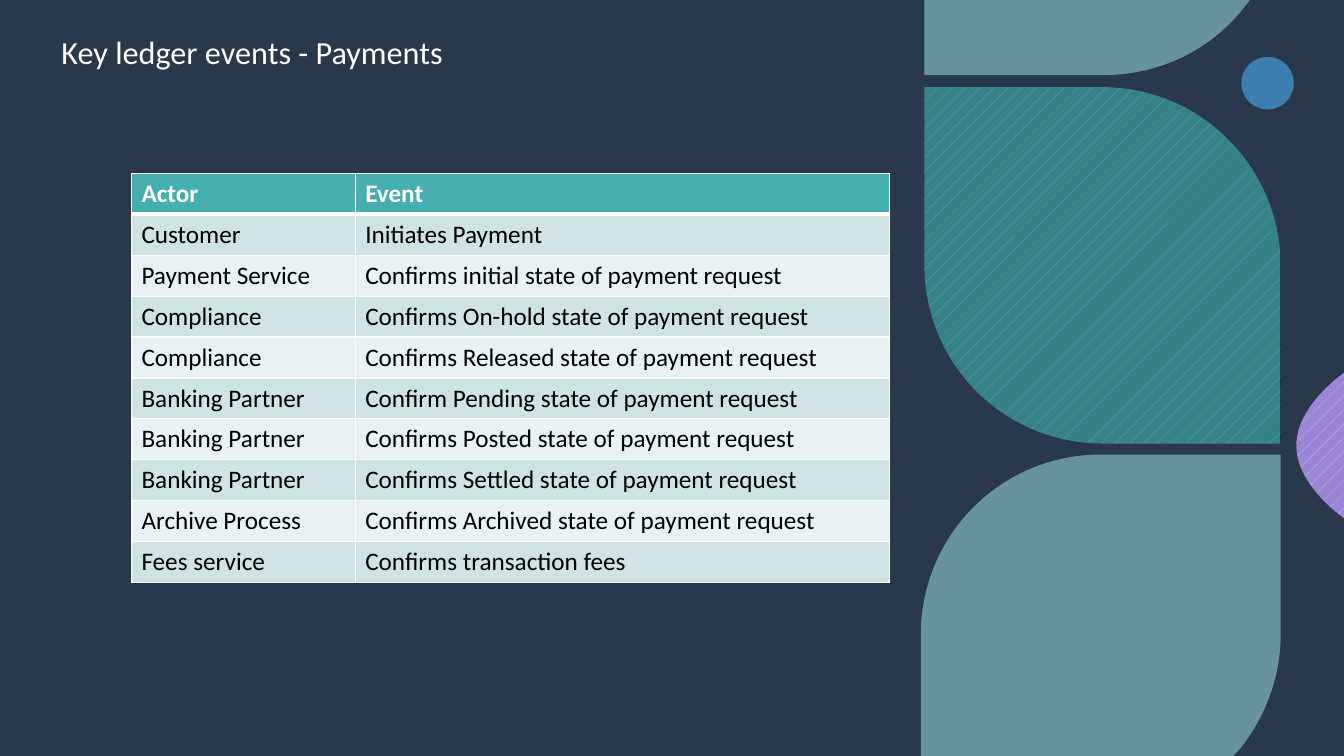
from lxml.etree import SubElement
from pptx import Presentation
from pptx.dml.color import RGBColor
from pptx.enum.dml import MSO_PATTERN_TYPE as Pattern
from pptx.enum.shapes import MSO_SHAPE as Shape
from pptx.enum.text import MSO_ANCHOR as Anchor, MSO_AUTO_SIZE as AutoSize, PP_ALIGN as Align
from pptx.oxml import parse_xml
from pptx.oxml.ns import nsdecls, qn
from pptx.util import Inches, Pt

COLORS = {name: RGBColor.from_string(value) for name, value in {
    "night": "1B2430", "veil": "425876", "dot": "3B7EB1", "mist": "8DD2D2",
    "lilac": "9B86D5", "pale lilac": "DED7F1", "teal": "348384",
    "header": "45AFB0", "odd row": "CFE3E4", "even row": "E9F2F2",
    "white": "FFFFFF", "black": "000000"}.items()}

# Grid of square cells, a tenth of an inch each
CELL = Inches(0.1)
COLUMNS, ROWS = 133.33, 75


def write(frame, text, size=18, color="black", bold=False, spacing=None):
    paragraph = frame.paragraphs[0]
    paragraph.alignment = Align.LEFT
    paragraph.line_spacing = spacing
    run = paragraph.add_run()
    run.text = text
    run.font.name, run.font.size, run.font.bold = "Calibri", Pt(size), bold
    run.font.color.rgb = COLORS[color]


def paint(shape, color, opacity=None, stipple=None):
    shape.shadow.inherit = False
    shape.line.fill.background()
    if stipple:
        shape.fill.patterned()
        shape.fill.pattern = Pattern.PERCENT_5
        shape.fill.fore_color.rgb = COLORS[stipple]
        shape.fill.back_color.rgb = COLORS[color]
    else:
        shape.fill.solid()
        shape.fill.fore_color.rgb = COLORS[color]
    if opacity:
        tint = shape._element.spPr.find(".//" + qn("a:srgbClr"))
        SubElement(tint, qn("a:alpha"), val=str(opacity * 1000))


deck = Presentation()
deck.slide_width, deck.slide_height = int(COLUMNS * CELL), ROWS * CELL
slide = deck.slides.add_slide(deck.slide_layouts[5])
shapes = slide.shapes

# Background with a translucent veil
slide.background.fill.solid()
slide.background.fill.fore_color.rgb = COLORS["night"]
veil = shapes.add_shape(Shape.RECTANGLE, 0, 0, deck.slide_width, deck.slide_height)
paint(veil, "veil", opacity=40)

# Dot and leaves: a pair is a corner, six numbers are a Bezier curve
dot = shapes.add_shape(Shape.OVAL, *(int(n * CELL) for n in (123.15, 5.65, 5.2, 5.2)))
paint(dot, "dot")

leaves = [
    ([(91.7, 0), (124, 0), (123.3, 0.9), (120.1, 4.9, 115.1, 7.45, 109.5, 7.45),
      (91.7, 7.45)], {"color": "mist", "opacity": 60}),
    ([(109.2, 45.1), (127.05, 45.1), (127.05, 62.9),
      (127.05, 67.2, 125.5, 71.2, 123, 74.3), (122.3, ROWS), (91.35, ROWS), (91.35, 63),
      (91.35, 53.1, 99.3, 45.1, 109.2, 45.1)], {"color": "mist", "opacity": 60}),
    ([(COLUMNS, 37), (COLUMNS, 51.4), (COLUMNS, 51.4, 128.6, 48.2, 128.6, 44.2),
      (128.6, 40.2, COLUMNS, 37, COLUMNS, 37)],
     {"color": "lilac", "stipple": "pale lilac"}),
    ([(127.05, 44), (109.4, 44), (99.6, 44, 91.7, 36.1, 91.7, 26.3), (91.7, 8.65),
      (109.4, 8.65), (119.1, 8.65, 127.05, 16.6, 127.05, 26.4)],
     {"color": "teal", "stipple": "lilac"}),
]
for outline, look in leaves:
    points = [(part[i] * 100, part[i + 1] * 100)
              for part in outline for i in range(0, len(part), 2)]
    builder = shapes.build_freeform(*points[0], scale=CELL / 100)
    builder.add_line_segments(points[1:], close=True)
    leaf = builder.convert_to_shape()
    # Three segments in a row become one curve
    segments = iter(list(leaf._element.spPr.iter(qn("a:lnTo"))))
    for part in outline[1:]:
        segment = next(segments)
        if len(part) == 6:
            curve = parse_xml(f'<a:cubicBezTo {nsdecls("a")}/>')
            segment.addprevious(curve)
            for control in (segment, next(segments), next(segments)):
                curve.append(control[0])
                control.getparent().remove(control)
    paint(leaf, **look)

# Title, moved in front of the decoration
title = shapes.title
title.left, title.top, title.width, title.height = (
    int(n * CELL) for n in (5.1, 2.6, 64.5, 5))
title.text_frame.vertical_anchor = Anchor.BOTTOM
title.text_frame.auto_size = AutoSize.NONE
title.text_frame.word_wrap = True
write(title.text_frame, "Key ledger events - Payments", size=23, color="white", spacing=0.9)
shapes._spTree.append(title._element)

# Table of actors and events
events = [
    ("Actor", "Event"),
    ("Customer", "Initiates Payment"),
    ("Payment Service", "Confirms initial state of payment request"),
    ("Compliance", "Confirms On-hold state of payment request"),
    ("Compliance", "Confirms Released state of payment request"),
    ("Banking Partner", "Confirm Pending state of payment request"),
    ("Banking Partner", "Confirms Posted state of payment request"),
    ("Banking Partner", "Confirms Settled state of payment request"),
    ("Archive Process", "Confirms Archived state of payment request"),
    ("Fees service", "Confirms transaction fees"),
]
widths = [int(n * CELL) for n in (22.2, 53)]
row_height = int(4.06 * CELL)
table = shapes.add_table(len(events), len(widths), int(13.04 * CELL), int(17.2 * CELL),
                         sum(widths), row_height * len(events)).table
table.horz_banding = False
for column, width in zip(table.columns, widths):
    column.width = width
for r, event in enumerate(events):
    table.rows[r].height = row_height
    band = "header" if r == 0 else "odd row" if r % 2 else "even row"
    for c, text in enumerate(event):
        cell = table.cell(r, c)
        cell.fill.solid()
        cell.fill.fore_color.rgb = COLORS[band]
        write(cell.text_frame, text, color="black" if r else "white", bold=r == 0)
        # Thin white borders, thicker under the header
        for place, side in enumerate("LRTB"):
            weight = 3 if (r, side) in ((0, "B"), (1, "T")) else 1
            cell._tc.get_or_add_tcPr().insert(place, parse_xml(
                f'<a:ln{side} {nsdecls("a")} w="{Pt(weight)}"><a:solidFill>'
                f'<a:srgbClr val="{COLORS["white"]}"/></a:solidFill></a:ln{side}>'))

deck.save("out.pptx")
